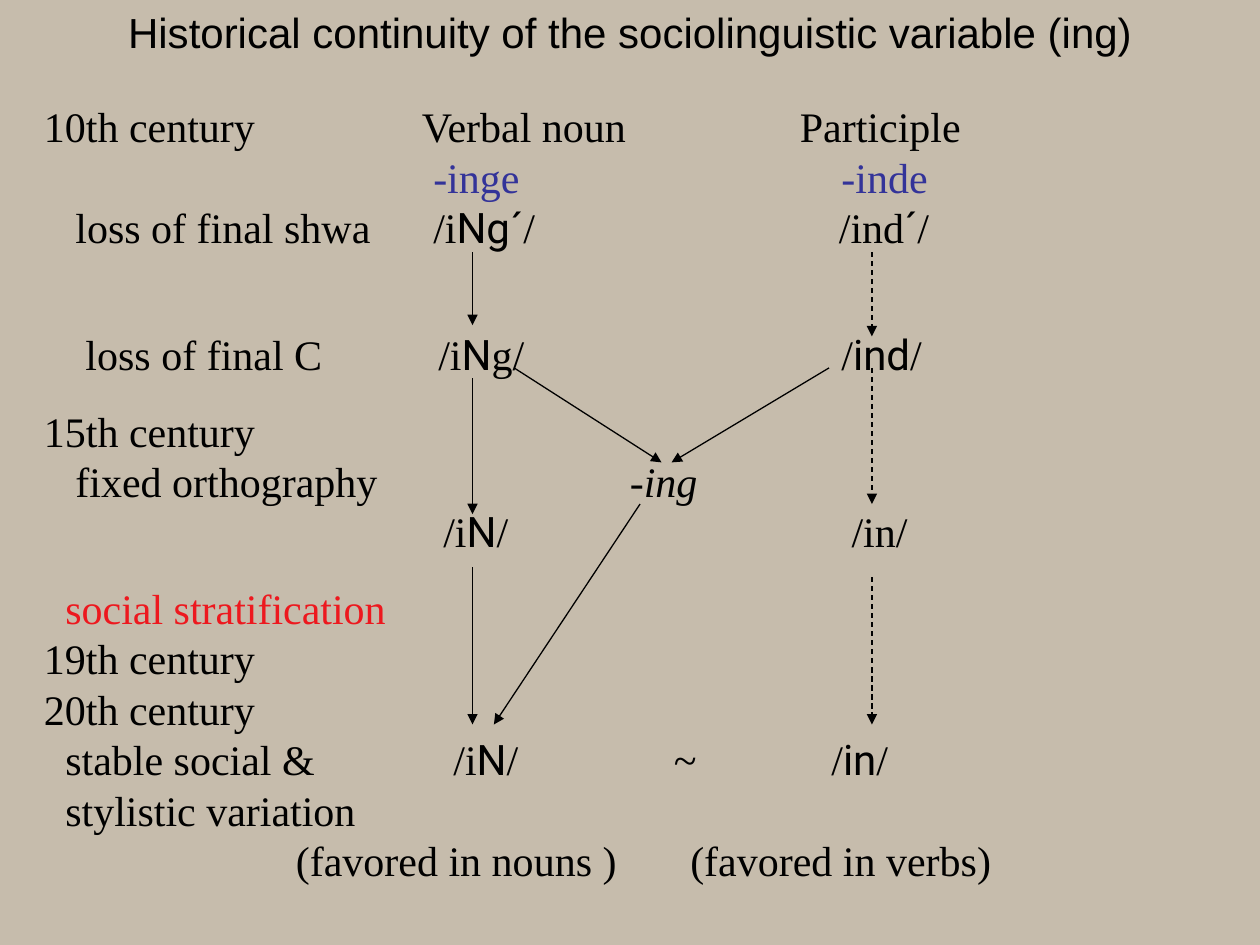
from lxml.etree import SubElement
from pptx import Presentation
from pptx.dml.color import RGBColor
from pptx.enum.dml import MSO_LINE
from pptx.enum.shapes import MSO_CONNECTOR
from pptx.enum.text import MSO_ANCHOR, MSO_AUTO_SIZE, PP_ALIGN
from pptx.oxml.ns import qn
from pptx.util import Inches, Pt

BLACK, BLUE, RED = "000000", "333399", "ED181E"
SERIF, PHONE = "Times New Roman", "Roboto"
SIZE, PITCH, GAP = 24, 28.8, 15

TITLE = "Historical continuity of the sociolinguistic variable (ing)"

# Each row: space before, then cells of (tab position, text, format).
# Phonetic letters stand between asterisks.
ROWS = [
    (0, [(0, "10th century", {}), (3, "Verbal noun", {}), (6, "Participle", {})]),
    (0, [(3.09, "-inge", {"color": BLUE}), (6.33, "-inde", {"color": BLUE})]),
    (0, [(0.25, "loss of final shwa", {}), (3.09, "/i*Ng´*/", {}), (6.31, "/ind*´*/", {})]),
    (GAP + PITCH, [(0.33, "loss of final C", {}), (3.13, "/i*N*g/", {}), (6.33, "/*ind*/", {})]),
    (GAP, [(0, "15th century", {})]),
    (0, [(0.25, "fixed orthography", {}), (4.65, "-ing", {"italic": True})]),
    (0, [(3.17, "/i*N*/", {}), (6.41, "/in/", {})]),
    (GAP, [(0.17, "social stratification", {"color": RED})]),
    (0, [(0, "19th century", {})]),
    (0, [(0, "20th century", {})]),
    (0, [(0.17, "stable social &", {}), (3.25, "/i*N*/", {}), (5, "~", {}), (6.25, "/*in*/", {})]),
    (0, [(0.17, "stylistic variation", {})]),
    (0, [(2, "(favored in nouns )", {}), (5.13, "(favored in verbs)", {})]),
]

# Arrows: x and y of start, x and y of end, dashed
NOUN, VERB = 3.75, 6.92
ARROWS = [
    (NOUN, 2, NOUN, 2.58, False),
    (NOUN, 3, NOUN, 4.08, False),
    (NOUN, 4.5, NOUN, 5.75, False),
    (VERB, 2, VERB, 2.67, True),
    (VERB, 2.92, VERB, 4, True),
    (VERB, 4.58, VERB, 5.75, True),
    (4.08, 2.92, 5.25, 3.67, False),
    (6.58, 2.92, 5.33, 3.67, False),
    (5.08, 4, 3.92, 5.75, False),
]


def paint(code):
    return RGBColor.from_string(code)


def write(para, text, font=SERIF, color=BLACK, italic=False):
    for i, part in enumerate(text.split("*")):
        if part:
            run = para.add_run()
            run.text = part
            run.font.name = PHONE if i % 2 else font
            run.font.size = Pt(SIZE)
            run.font.bold = False
            run.font.italic = italic
            run.font.color.rgb = paint(color)


def set_tabs(para, stops):
    tabs = SubElement(para._p.get_or_add_pPr(), qn("a:tabLst"))
    for stop in stops:
        SubElement(tabs, qn("a:tab"), pos=str(Inches(stop)), algn="l")


def arrow(slide, x1, y1, x2, y2, dashed):
    link = slide.shapes.add_connector(
        MSO_CONNECTOR.STRAIGHT, Inches(x1), Inches(y1), Inches(x2), Inches(y2))
    link.line.color.rgb = paint(BLACK)
    link.line.width = Pt(0.75)
    if dashed:
        link.line.dash_style = MSO_LINE.DASH
    SubElement(link.line._get_or_add_ln(), qn("a:tailEnd"), type="triangle")
    SubElement(link._element.spPr, qn("a:effectLst"))


def main():
    deck = Presentation()
    deck.slide_width, deck.slide_height = Inches(10), Inches(7.5)
    slide = deck.slides.add_slide(deck.slide_layouts[5])
    slide.background.fill.solid()
    slide.background.fill.fore_color.rgb = paint("C6BCAC")

    # Title
    title = slide.shapes.title
    title.left, title.top = Inches(0.75), Inches(0)
    title.width, title.height = Inches(8.5), Inches(0.5)
    frame = title.text_frame
    frame.auto_size = MSO_AUTO_SIZE.NONE
    frame.vertical_anchor = MSO_ANCHOR.MIDDLE
    frame.paragraphs[0].alignment = PP_ALIGN.CENTER
    write(frame.paragraphs[0], TITLE, font="Arial")

    # Timeline text, with columns set by tab stops
    box = slide.shapes.add_textbox(Inches(0.25), Inches(0.75), Inches(8.75), Inches(6.33))
    frame = box.text_frame
    frame.word_wrap = True
    frame.auto_size = MSO_AUTO_SIZE.SHAPE_TO_FIT_TEXT
    for i, (space, cells) in enumerate(ROWS):
        para = frame.add_paragraph() if i else frame.paragraphs[0]
        set_tabs(para, [x for x, _, _ in cells if x])
        para.line_spacing = Pt(PITCH)
        para.space_before = Pt(space)
        for x, text, look in cells:
            write(para, "\t" + text if x else text, **look)

    # Arrows of change
    for item in ARROWS:
        arrow(slide, *item)

    deck.save("out.pptx")


if __name__ == "__main__":
    main()
